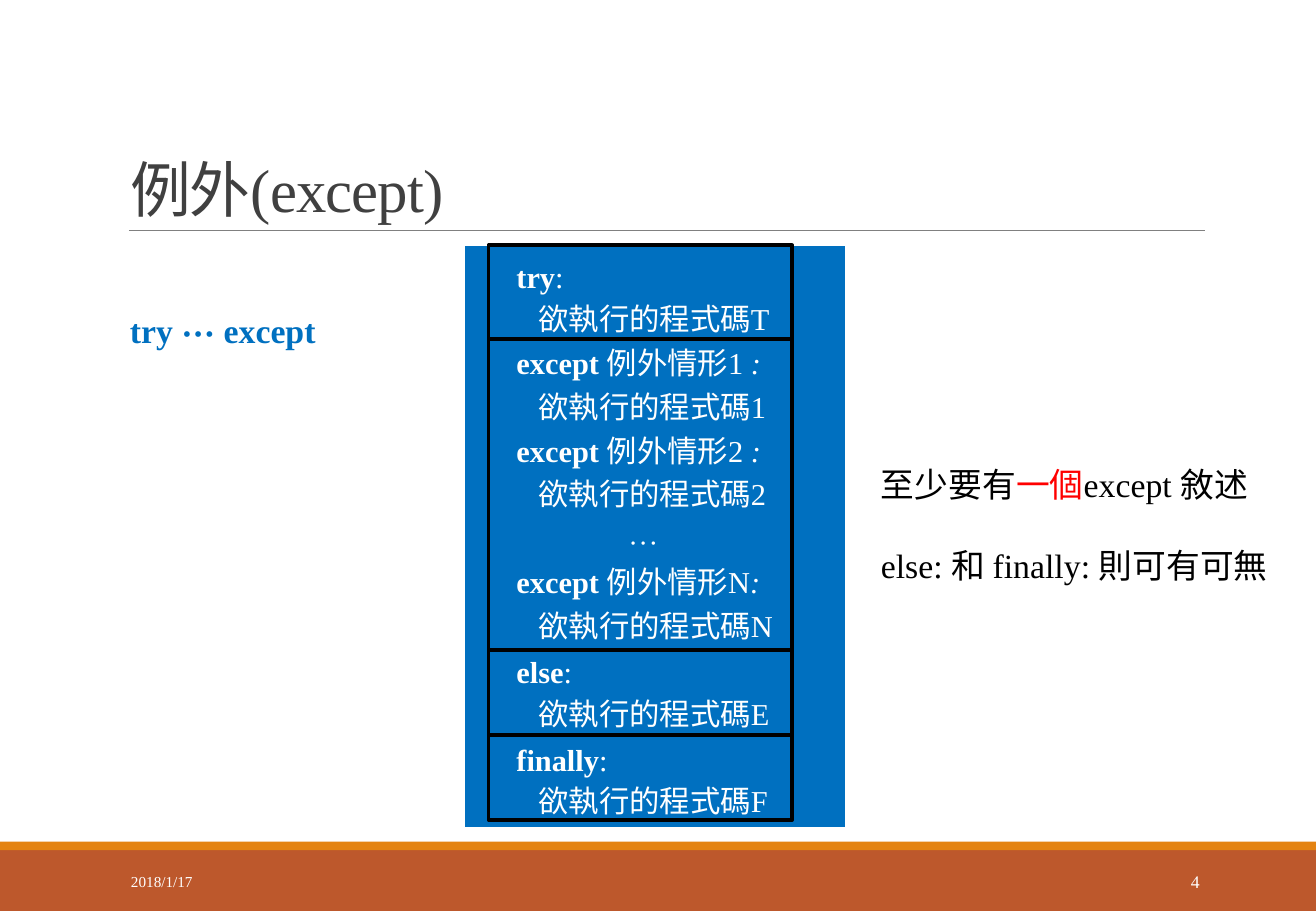
import pptx
import pptx.util
import pptx.dml.color
import pptx.enum.shapes
import pptx.enum.text
import pptx.oxml
import pptx.oxml.ns
from lxml import etree

PX = 9144  # 100 px to the inch
FONT = "Times New Roman"
WHITE, BLACK, BLUE, RED = "FFFFFF", "000000", "0070C0", "FF0000"
ALIGN = pptx.enum.text.PP_ALIGN
ANCHOR = pptx.enum.text.MSO_ANCHOR
QN = pptx.oxml.ns.qn


def rgb(code):
    return pptx.dml.color.RGBColor.from_string(code)


def px(*vals):
    return [pptx.util.Emu(val * PX) for val in vals]


class Deck:
    def __init__(self, wide, high):
        self.prs = pptx.Presentation()
        self.prs.slide_width, self.prs.slide_height = px(wide, high)
        self.slide = self.prs.slides.add_slide(self.prs.slide_layouts[5])
        self.shapes = self.slide.shapes

    def style(self, run, size, color, bold=False, italic=False):
        font = run.font
        font.name, font.size = FONT, pptx.util.Pt(size)
        font.bold, font.italic = bold, italic
        font.color.rgb = rgb(color)

    def fill_text(self, para, parts, size, color):
        """Write parts, each a pair of text and style changes."""
        for text, more in parts:
            run = para.add_run()
            run.text = text
            self.style(run, size, **{"color": color, **more})

    def title(self, box, text, size, color):
        shape = self.shapes.title
        shape.left, shape.top, shape.width, shape.height = px(*box)
        frame = shape.text_frame
        frame.text = text
        frame.vertical_anchor = ANCHOR.BOTTOM
        frame.auto_size = pptx.enum.text.MSO_AUTO_SIZE.NONE
        para = frame.paragraphs[0]
        para.alignment, para.line_spacing = ALIGN.LEFT, 0.85
        run = para.runs[0]
        self.style(run, size, color)
        run.font._element.set("spc", "-50")

    def text(self, box, paras, size, color, align=ALIGN.LEFT,
             anchor=ANCHOR.TOP, gap=0, lines=1.0):
        frame = self.shapes.add_textbox(*px(*box)).text_frame
        frame.word_wrap, frame.vertical_anchor = True, anchor
        for i, parts in enumerate(paras):
            para = frame.add_paragraph() if i else frame.paragraphs[0]
            para.alignment, para.line_spacing = align, lines
            if i:
                para.space_before = pptx.util.Pt(gap)
            self.fill_text(para, parts, size, color)
        return frame

    def rect(self, box, fill=None, line=None, width=2.25):
        kind = pptx.enum.shapes.MSO_SHAPE.RECTANGLE
        shape = self.shapes.add_shape(kind, *px(*box))
        shape.shadow.inherit = False
        if fill:
            shape.fill.solid()
            shape.fill.fore_color.rgb = rgb(fill)
        else:
            shape.fill.background()
        if line:
            shape.line.color.rgb = rgb(line)
            shape.line.width = pptx.util.Pt(width)
        else:
            shape.line.fill.background()

    def rule(self, ends, color, width):
        kind = pptx.enum.shapes.MSO_CONNECTOR.STRAIGHT
        line = self.shapes.add_connector(kind, *px(*ends))
        line.line.color.rgb = rgb(color)
        line.line.width = pptx.util.Pt(width)
        etree.SubElement(line._element.spPr, QN("a:effectLst"))

    def panel(self, box, rows, size, pitch, fill):
        """Add a one-cell table; each row is an indent and its parts."""
        table = self.shapes.add_table(1, 1, *px(*box)).table
        table.first_row = table.horz_banding = False
        cell = table.cell(0, 0)
        self.edge(cell, WHITE)
        cell.fill.solid()
        cell.fill.fore_color.rgb = rgb(fill)
        frame = cell.text_frame
        for i, (indent, parts) in enumerate(rows):
            para = frame.add_paragraph() if i else frame.paragraphs[0]
            para.line_spacing = pptx.util.Pt(pitch)
            para._p.get_or_add_pPr().set("marL", str(indent * PX))
            self.fill_text(para, parts, size, WHITE)

    def edge(self, cell, color):
        props = cell._tc.get_or_add_tcPr()
        for side in ("lnL", "lnR", "lnT", "lnB"):
            line = etree.SubElement(props, QN("a:" + side), w="12700")
            solid = etree.SubElement(line, QN("a:solidFill"))
            etree.SubElement(solid, QN("a:srgbClr"), val=color)


def head(word, case="", colon=":", **more):
    parts = [(word, {"bold": True}), (case, {}), (colon, more)]
    return 33, [part for part in parts if part[0]]


def body(mark):
    return 51, [("欲執行的程式碼" + mark, {})]


def catch(mark, space=" "):
    return [head("except ", f"例外情形{mark}{space}", italic=True), body(mark)]


def main():
    deck = Deck(1083, 750)
    deck.rect((0, 700, 1083, 50), fill="BD582C")
    deck.rect((0, 693, 1083, 7), fill="E48312")
    deck.rule((106, 190, 992, 190), "808080", 0.5)
    deck.title((97, 31, 894, 159), "例外(except)", 36, "404040")

    topic = deck.text((97, 202, 280, 491),
                      [[("try ⋯ except", {"bold": True})]],
                      20, BLUE, lines=0.9)
    topic.margin_left, topic.margin_top = px(10, 57)

    rows = [head("try"), body("T"), *catch("1"), *catch("2"),
            (125, [("⋯", {})]), *catch("N", ""),
            head("else"), body("E"), head("finally"), body("F")]
    deck.panel((382, 202, 314, 476), rows, 18, 26, BLUE)

    top = 202
    for high in (77, 256, 70, 70):
        deck.rect((402, top, 250, high), line=BLACK)
        top += high

    deck.text((715, 377, 341, 111), [
        [("至少要有", {}), ("一個", {"color": RED}), ("except 敘述", {})],
        [("else: 和 finally: 則可有可無", {})],
    ], 20, BLACK, gap=24)

    deck.text((98, 706, 220, 40), [[("2018/1/17", {})]], 9, WHITE,
              anchor=ANCHOR.MIDDLE)
    deck.text((880, 706, 117, 40), [[("4", {})]], 10.5, WHITE,
              align=ALIGN.RIGHT, anchor=ANCHOR.MIDDLE)
    deck.prs.save("out.pptx")


if __name__ == "__main__":
    main()
